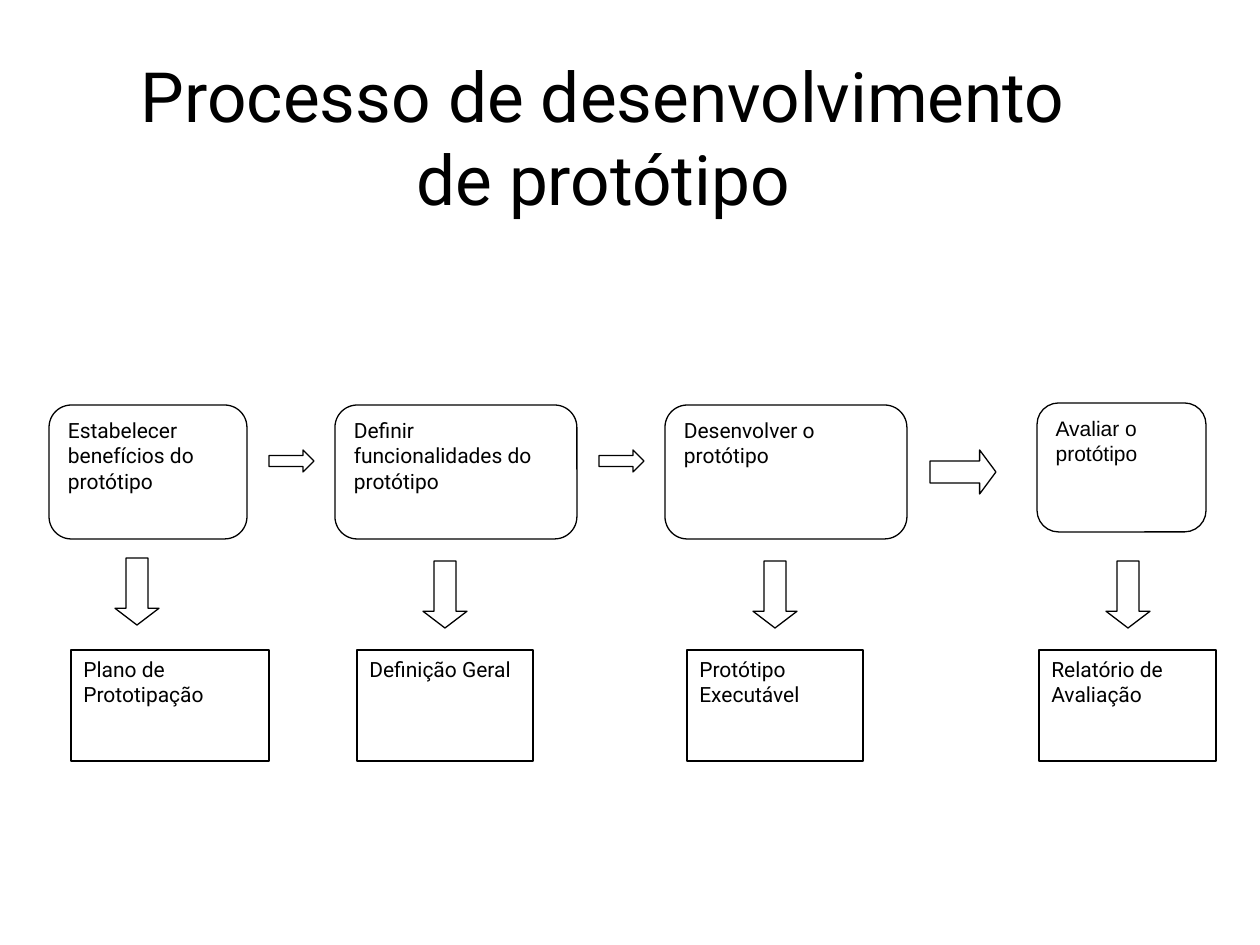
from pptx import Presentation
from pptx.dml.color import RGBColor
from pptx.enum.shapes import MSO_SHAPE as SHAPE
from pptx.enum.text import MSO_ANCHOR as ANCHOR, MSO_AUTO_SIZE as AUTO, PP_ALIGN as ALIGN
from pptx.util import Emu, Pt

PX = 914400 / 126
COLORS = {"paper": "FFFFFF", "ink": "000000"}


def px(n):
    return Emu(round(n * PX))


def rgb(name):
    return RGBColor.from_string(COLORS[name])


class Diagram:
    """Style and current slide."""

    font, text_size, title_size, line_width = "Roboto", 12, 39.6, 0.75

    def __init__(self, slide):
        self.slide = slide

    def add_text(self, tf, text, size, align, anchor, font=None):
        tf.word_wrap = True
        tf.auto_size = AUTO.NONE
        tf.vertical_anchor = anchor
        p = tf.paragraphs[0]
        p.alignment = align
        r = p.add_run()
        r.text = text
        r.font.name = font or self.font
        r.font.size = Pt(size)
        r.font.color.rgb = rgb("ink")

    def title(self, text, x, y, w, h):
        sp = self.slide.shapes.title
        sp.left, sp.top, sp.width, sp.height = map(px, (x, y, w, h))
        self.add_text(sp.text_frame, text, self.title_size, ALIGN.CENTER, ANCHOR.MIDDLE)

    def outline(self, kind, x, y, w, h):
        sp = self.slide.shapes.add_shape(kind, *map(px, (x, y, w, h)))
        sp.shadow.inherit = False
        sp.fill.solid()
        sp.fill.fore_color.rgb = rgb("paper")
        sp.line.color.rgb = rgb("ink")
        sp.line.width = Pt(self.line_width)
        return sp

    def box(self, kind, text, x, y, w, h, font=None):
        sp = self.outline(kind, x, y, w, h)
        self.add_text(sp.text_frame, text, self.text_size, ALIGN.LEFT, ANCHOR.TOP, font)

    def arrow(self, kind, x, y, w, h, head):
        sp = self.outline(kind, x, y, w, h)
        sp.adjustments[0] = 0.5
        sp.adjustments[1] = head


def main():
    prs = Presentation()
    prs.slide_width, prs.slide_height = px(1260), px(945)
    d = Diagram(prs.slides.add_slide(prs.slide_layouts[5]))

    d.title("Processo de desenvolvimento de protótipo", 84, 55, 1038, 162)

    # Process steps: text, x, y, width, height, font
    steps = [
        ("Estabelecer benefícios do protótipo", 49, 405, 198, 134, None),
        ("Definir funcionalidades do protótipo", 335, 405, 242, 134, None),
        ("Desenvolver o protótipo", 665, 405, 242, 134, None),
        ("Avaliar o protótipo", 1037, 403, 169, 129, "Arial"),
    ]
    for text, x, y, w, h, font in steps:
        d.box(SHAPE.ROUNDED_RECTANGLE, text, x, y, w, h, font)

    # Arrows from step to step
    for x, y, w, h, head in [(269, 450, 45, 22, 0.5), (599, 450, 45, 22, 0.5),
                             (930, 450, 66, 44, 0.37)]:
        d.arrow(SHAPE.RIGHT_ARROW, x, y, w, h, head)

    # Arrows down to the deliverables
    for x, y in [(115, 558), (423, 561), (753, 561), (1106, 561)]:
        d.arrow(SHAPE.DOWN_ARROW, x, y, 44, 67, 0.38)

    # Deliverables
    for text, x, w in [("Plano de Prototipação", 71, 198), ("Definição Geral", 357, 176),
                       ("Protótipo Executável", 687, 176), ("Relatório de Avaliação", 1039, 177)]:
        d.box(SHAPE.RECTANGLE, text, x, 650, w, 111)

    prs.save("out.pptx")


if __name__ == "__main__":
    main()
